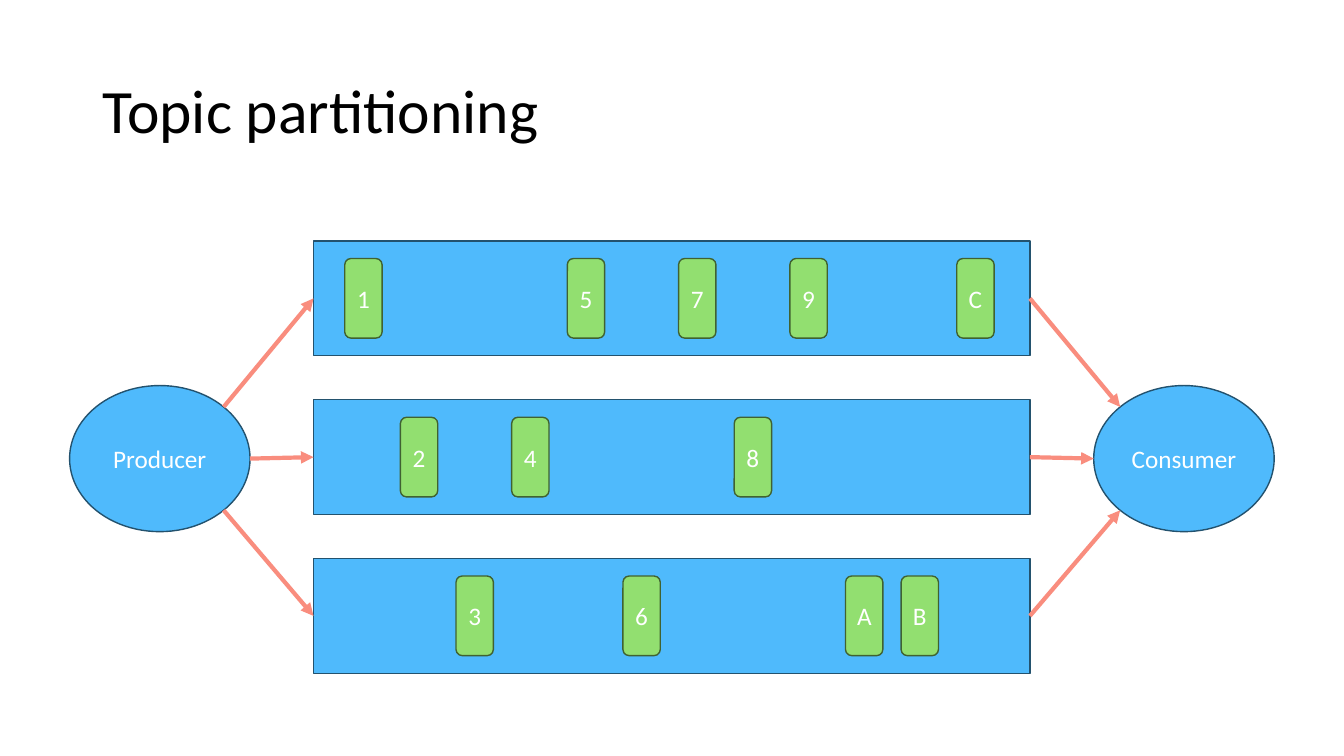
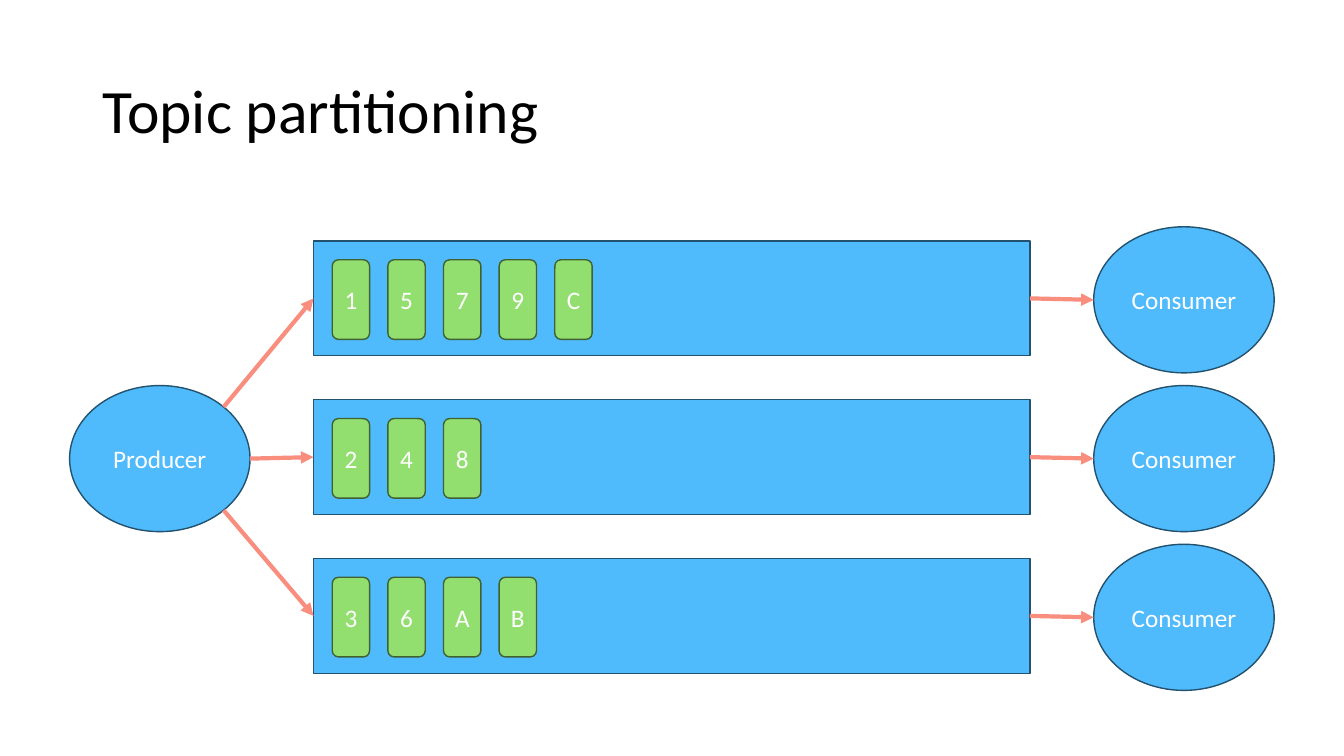
import math

import pptx
import pptx.dml.color
import pptx.enum.shapes
import pptx.enum.text
import pptx.oxml.ns
import pptx.util
from lxml import etree

COLOURS = {
    "blue": "4FBAFC", "blue line": "23526E",
    "green": "92DF70", "green line": "406231",
    "arrow": "F98D7E", "title": "000000", "label": "FFFFFF",
}
FONT = "Calibri"
KINDS = pptx.enum.shapes.MSO_SHAPE
ALIGN = pptx.enum.text.PP_ALIGN

presentation = pptx.Presentation()
presentation.slide_width = pptx.util.Inches(13.333)
presentation.slide_height = pptx.util.Inches(7.5)

# Grid: 100 columns by 100 rows
COLUMN = presentation.slide_width / 100
ROW = presentation.slide_height / 100
LANE_LEFT, LANE_TOP, LANE_WIDTH, LANE_HEIGHT, LANE_STEP = 23.33, 31.87, 53.3, 15.2, 21
NODE_WIDTH, NODE_HEIGHT, NODE_RISE = 13.43, 19.33, 1.87
PRODUCER_LEFT, CONSUMER_LEFT = 5.18, 81.38
MESSAGE_WIDTH, MESSAGE_HEIGHT, MESSAGE_STEP = 2.78, 10.53, 4.14
MIDDLE_LANE = 1

# Each lane maps its messages to time slots
ORDER = "123456789ABC"
LANES = ["1579C", "248", "36AB"]
SLIDES = [
    {"shared_consumer": True, "packed": False, "first_message": 25.65, "inset": 2.33},
    {"shared_consumer": False, "packed": True, "first_message": 24.72, "inset": 2.5},
]


def write(shape, text, size=18, colour="label", align=ALIGN.CENTER, spacing=1.0):
    frame = shape.text_frame
    frame.word_wrap = True
    frame.auto_size = pptx.enum.text.MSO_AUTO_SIZE.NONE
    frame.vertical_anchor = pptx.enum.text.MSO_ANCHOR.MIDDLE
    paragraph = frame.paragraphs[0]
    paragraph.text = text
    paragraph.alignment = align
    paragraph.line_spacing = spacing
    paragraph.font.name = FONT
    paragraph.font.size = pptx.util.Pt(size)
    paragraph.font.color.rgb = pptx.dml.color.RGBColor.from_string(COLOURS[colour])


def add_block(slide, kind, left, top, width, height, colour="blue", text=""):
    shape = slide.shapes.add_shape(
        kind, round(left * COLUMN), round(top * ROW), round(width * COLUMN), round(height * ROW))
    shape.shadow.inherit = False
    shape.fill.solid()
    shape.fill.fore_color.rgb = pptx.dml.color.RGBColor.from_string(COLOURS[colour])
    shape.line.color.rgb = pptx.dml.color.RGBColor.from_string(COLOURS[colour + " line"])
    shape.line.width = pptx.util.Pt(1)
    if text:
        write(shape, text)
    return shape


for layout in SLIDES:
    slide = presentation.slides.add_slide(presentation.slide_layouts[5])

    # Title
    title = slide.shapes.title
    title.left, title.top = round(6.88 * COLUMN), round(5.33 * ROW)
    title.width, title.height = round(86.25 * COLUMN), round(19.33 * ROW)
    write(title, "Topic partitioning", size=44, colour="title", align=ALIGN.LEFT, spacing=0.9)

    # Lanes with their messages
    lane_shapes = []
    for index, messages in enumerate(LANES):
        top = LANE_TOP + index * LANE_STEP
        lane_shapes.append(add_block(
            slide, KINDS.RECTANGLE, LANE_LEFT, top, LANE_WIDTH, LANE_HEIGHT))
        for position, message in enumerate(messages):
            slot = position if layout["packed"] else ORDER.index(message)
            add_block(slide, KINDS.ROUNDED_RECTANGLE,
                      layout["first_message"] + slot * MESSAGE_STEP, top + layout["inset"],
                      MESSAGE_WIDTH, MESSAGE_HEIGHT, colour="green", text=message)

    # Producer and consumers
    node_tops = [LANE_TOP + index * LANE_STEP - NODE_RISE for index in range(len(LANES))]
    producer = add_block(slide, KINDS.OVAL, PRODUCER_LEFT, node_tops[MIDDLE_LANE],
                         NODE_WIDTH, NODE_HEIGHT, text="Producer")
    consumer_tops = [node_tops[MIDDLE_LANE]] if layout["shared_consumer"] else node_tops
    consumers = [add_block(slide, KINDS.OVAL, CONSUMER_LEFT, top,
                           NODE_WIDTH, NODE_HEIGHT, text="Consumer") for top in consumer_tops]

    # Arrows: node ends lie on the ellipse, lane ends are joined to the lane
    for index, lane in enumerate(lane_shapes):
        shared = len(consumers) == 1
        consumer = consumers[0 if shared else index]
        fan = math.radians(45 * (index - MIDDLE_LANE))
        for node, side, angle in [(producer, 1, fan), (consumer, -1, fan if shared else 0)]:
            node_x = round(node.left + node.width / 2 * (1 + side * math.cos(angle)))
            node_y = round(node.top + node.height / 2 * (1 + math.sin(angle)))
            arrow = slide.shapes.add_connector(
                pptx.enum.shapes.MSO_CONNECTOR.STRAIGHT, node_x, node_y, node_x, node_y)
            if node is producer:
                arrow.end_connect(lane, 1)
            else:
                arrow.begin_connect(lane, 3)
            arrow.line.color.rgb = pptx.dml.color.RGBColor.from_string(COLOURS["arrow"])
            arrow.line.width = pptx.util.Pt(3)
            etree.SubElement(arrow.line._get_or_add_ln(),
                             pptx.oxml.ns.qn("a:tailEnd"), type="triangle")
            etree.SubElement(arrow._element.spPr, pptx.oxml.ns.qn("a:effectLst"))

presentation.save("out.pptx")
